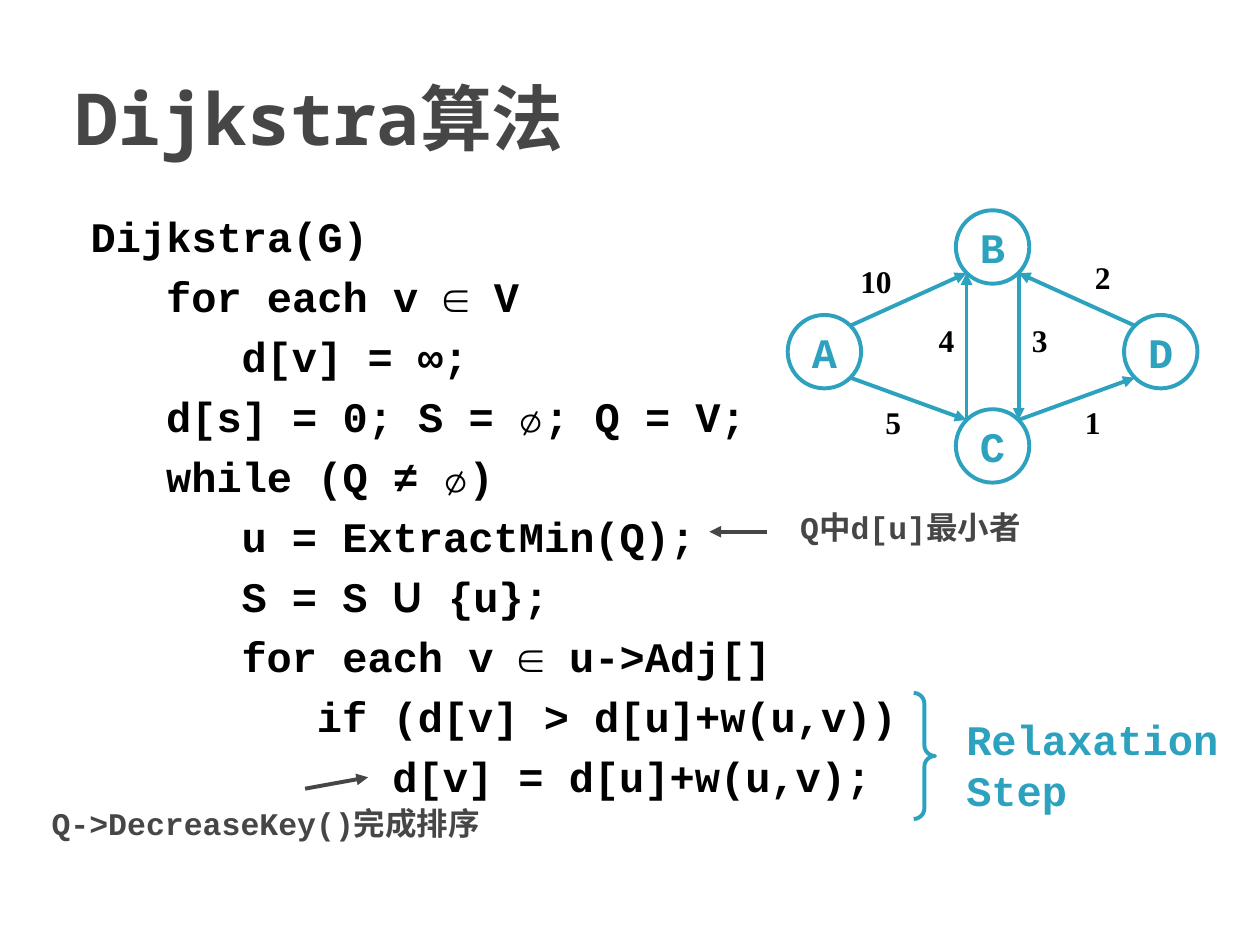
from lxml.etree import SubElement
from pptx import Presentation
from pptx.dml.color import RGBColor
from pptx.enum.shapes import MSO_CONNECTOR, MSO_SHAPE
from pptx.enum.text import MSO_ANCHOR, PP_ALIGN
from pptx.oxml.ns import qn
from pptx.util import Cm, Pt

TEAL, GREY, BLACK, WHITE = "2DA2BF", "464646", "000000", "FFFFFF"
CODE_FONT = "Courier New"
CODE = [
    (0, "Dijkstra(G)"),
    (1, "for each v ∈ V"),
    (2, "d[v] = ∞;"),
    (1, "d[s] = 0; S = ∅; Q = V;"),
    (1, "while (Q ≠ ∅)"),
    (2, "u = ExtractMin(Q);"),
    (2, "S = S U {u};"),
    (2, "for each v ∈ u->Adj[]"),
    (3, "if (d[v] > d[u]+w(u,v))"),
    (4, "d[v] = d[u]+w(u,v);"),
]
EDGES = [
    ("A", (1, -1), "B", (-1, 1)),
    ("A", (1, 1), "C", (-1, -1)),
    ("C", (1, -1), "D", (-1, 1)),
    ("D", (-1, -1), "B", (1, 1)),
    ("C", (-1, -1), "B", (-1, 1)),
    ("B", (1, 1), "C", (1, -1)),
]
WEIGHTS = [
    ("10", 1.78, 1.46), ("4", 3.2, 2.65), ("3", 5.08, 2.65),
    ("2", 6.35, 1.38), ("1", 6.15, 4.31), ("5", 2.13, 4.31),
]


def colour(code):
    return RGBColor.from_string(code)


def write(para, text, font=CODE_FONT, size=24, color=BLACK):
    span = para.add_run()
    span.text = text
    span.font.name = font
    span.font.size = Pt(size)
    span.font.bold = True
    span.font.color.rgb = colour(color)


def add_text(page, box, text, align=PP_ALIGN.LEFT, anchor=MSO_ANCHOR.TOP, wrap=True, **style):
    frame = page.shapes.add_textbox(*map(Cm, box)).text_frame
    frame.word_wrap = wrap
    frame.vertical_anchor = anchor
    para = frame.paragraphs[0]
    para.alignment = align
    if text:
        write(para, text, **style)
    return frame


def add_arrow(page, start, end, color):
    arrow = page.shapes.add_connector(MSO_CONNECTOR.STRAIGHT, *map(Cm, (*start, *end)))
    arrow.line.color.rgb = colour(color)
    arrow.line.width = Pt(2.25)
    SubElement(arrow.line._get_or_add_ln(), qn("a:tailEnd"), type="triangle")
    SubElement(arrow._element.spPr, qn("a:effectLst"))


def add_outline(page, kind, box):
    shape = page.shapes.add_shape(kind, *map(Cm, box))
    shape.shadow.inherit = False
    shape.line.color.rgb = colour(TEAL)
    shape.line.width = Pt(2.25)
    return shape


def add_code(page, box):
    frame = add_text(page, box, "")
    for number, (level, line) in enumerate(CODE):
        para = frame.add_paragraph() if number else frame.paragraphs[0]
        para.space_before = Pt(5.5)
        indent = para._p.get_or_add_pPr()
        indent.set("marL", str(Cm(1.02 + 1.52 * level)))
        indent.set("indent", str(Cm(-0.71)))
        before, union, after = line.partition(" U ")
        write(para, before + " " if union else before)
        if union:
            write(para, "U", font="Cabin")
            write(para, " " + after)


def add_graph(page, box):
    left, top, width, height = box
    radius, middle = 0.74, 2.85
    corner = radius * 0.71
    nodes = {
        "B": (left + width / 2, top + radius),
        "C": (left + width / 2, top + height - radius),
        "D": (left + width - radius, top + middle),
        "A": (left + radius, top + middle),
    }
    for name, (x, y) in nodes.items():
        node = add_outline(page, MSO_SHAPE.OVAL, (x - radius, y - radius, 2 * radius, 2 * radius))
        node.fill.solid()
        node.fill.fore_color.rgb = colour(WHITE)
        frame = node.text_frame
        frame.word_wrap = False
        frame.vertical_anchor = MSO_ANCHOR.MIDDLE
        para = frame.paragraphs[0]
        para.alignment = PP_ALIGN.CENTER
        write(para, name, color=TEAL)
    for source, leave, target, arrive in EDGES:
        start, end = (
            [centre + corner * side for centre, side in zip(nodes[name], sides)]
            for name, sides in ((source, leave), (target, arrive))
        )
        add_arrow(page, start, end, TEAL)
    for weight, x, y in WEIGHTS:
        wide = 0.5 + 0.36 * len(weight)
        add_text(page, (left + x - wide / 2, top + y - 0.55, wide, 1.1), weight,
                 align=PP_ALIGN.CENTER, wrap=False, font="Times New Roman", size=18)


def add_relaxation(page, box):
    left, top, width, height = box
    brace = add_outline(page, MSO_SHAPE.RIGHT_BRACE, (left, top, 0.43, height))
    brace.fill.background()
    brace.adjustments[0] = 0.5
    frame = add_text(page, (left + 0.81, top + 0.28, width - 0.81, 2.29), "Relaxation",
                     wrap=False, color=TEAL)
    write(frame.add_paragraph(), "Step", color=TEAL)
    for para in frame.paragraphs:
        para.line_spacing = Pt(29)


def add_note(page, box, text, start, end):
    left, top = box[:2]
    add_text(page, box, text, size=18, color=GREY)
    add_arrow(page, *[(left + x, top + y) for x, y in (start, end)], GREY)


def main():
    deck = Presentation()
    deck.slide_width, deck.slide_height = Cm(25.4), Cm(19.05)
    page = deck.slides.add_slide(deck.slide_layouts[6])
    add_text(page, (1.27, 0.76, 22.86, 3.18), "Dijkstra算法", anchor=MSO_ANCHOR.MIDDLE,
             font="Noto Sans Mono", size=41, color=GREY)
    add_code(page, (1.27, 4.11, 22.86, 12.57))
    add_relaxation(page, (18.42, 13.97, 6.4, 2.54))
    add_note(page, (0.79, 16.08, 9.22, 1.02), "Q->DecreaseKey()完成排序",
             (5.36, -0.18), (6.63, -0.41))
    add_graph(page, (15.88, 4.24, 8.26, 5.49))
    add_note(page, (15.88, 10.11, 5, 1.02), "Q中d[u]最小者", (-0.41, 0.61), (-1.58, 0.61))
    deck.save("out.pptx")


if __name__ == "__main__":
    main()
